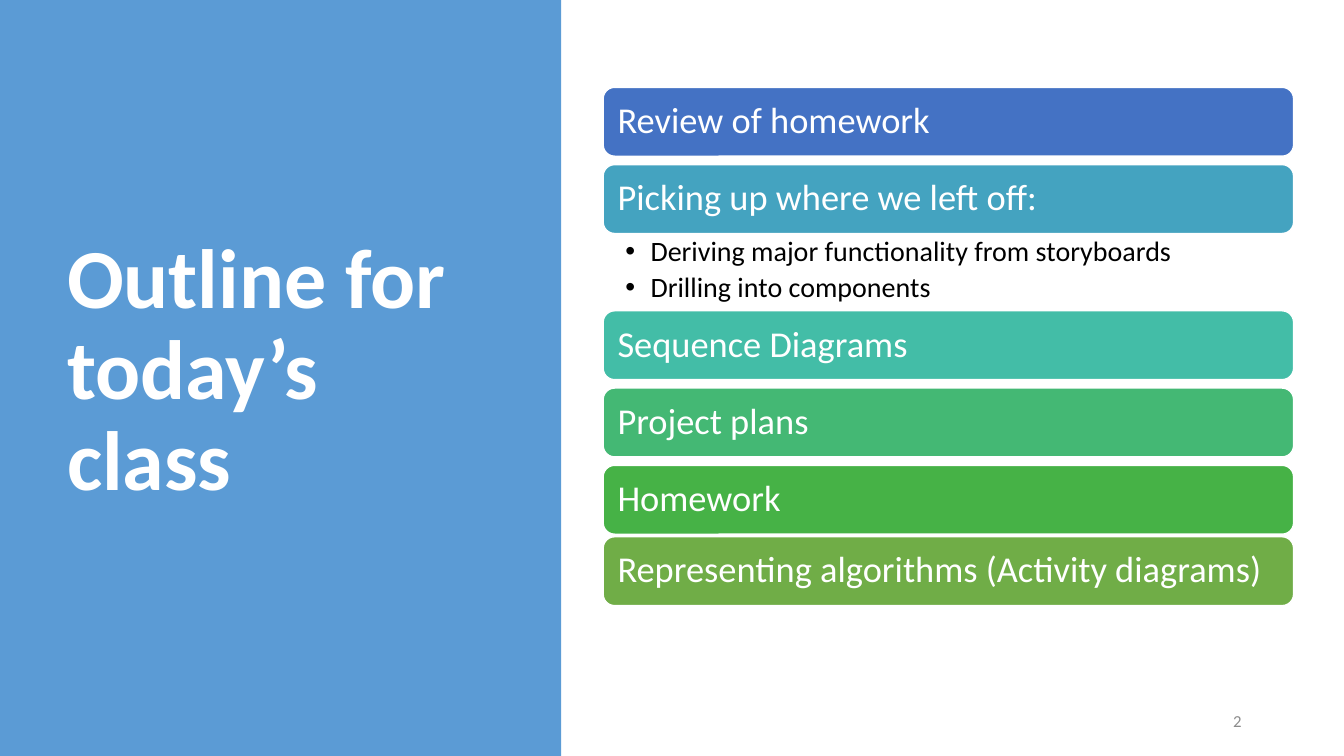
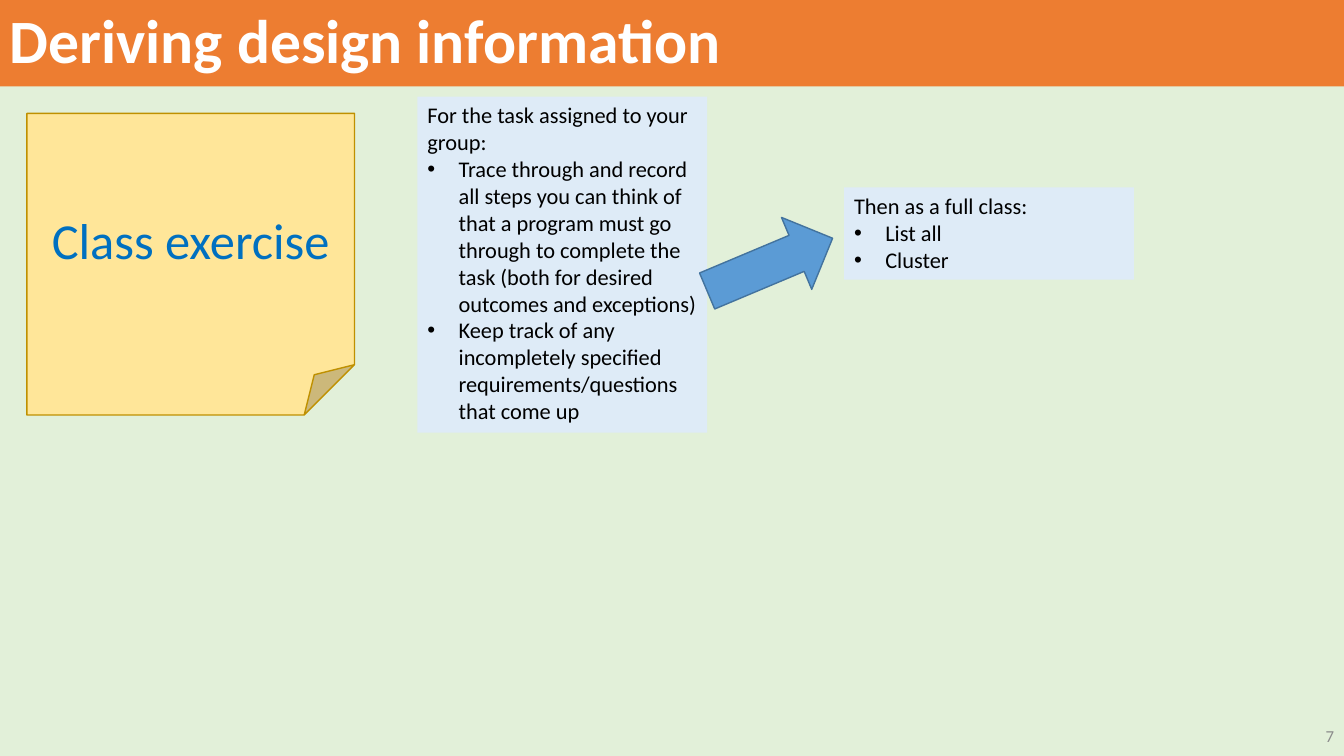
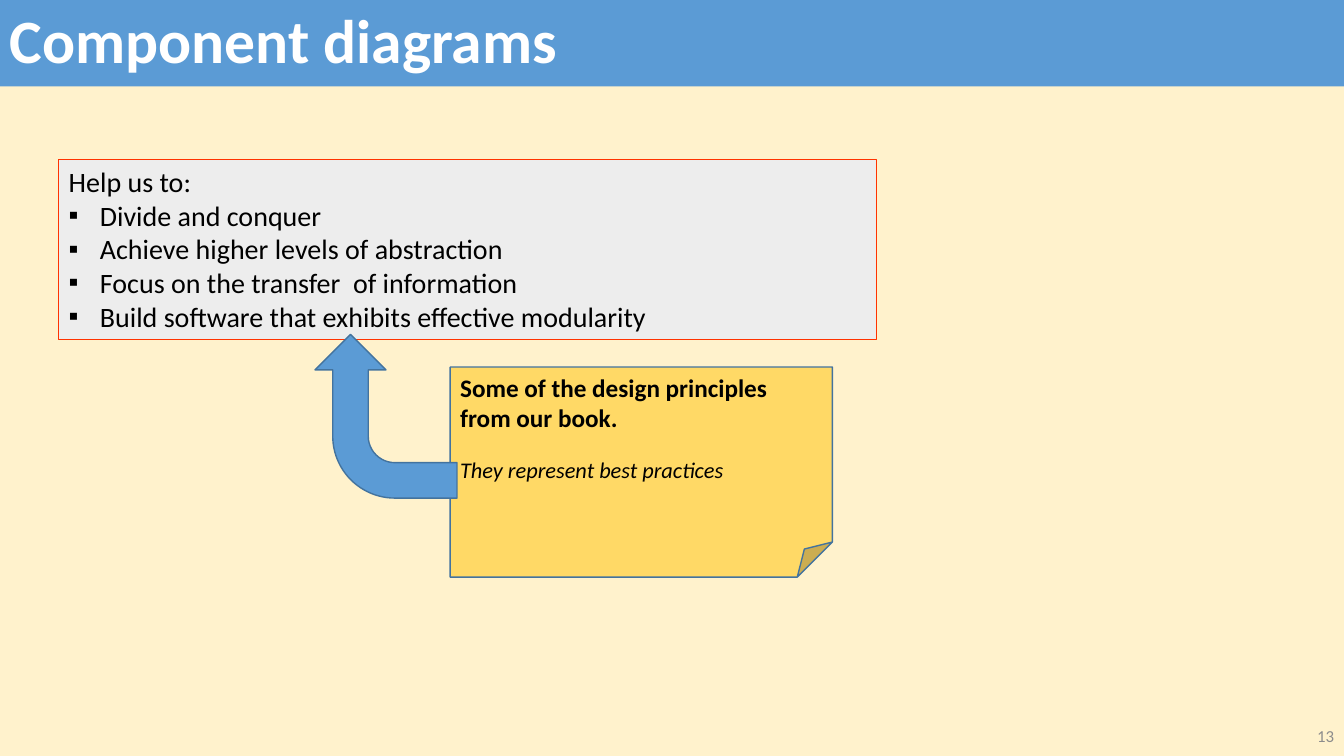
import pptx
import pptx.dml.color
import pptx.enum.shapes
import pptx.enum.text
import pptx.oxml.ns
import pptx.util
from lxml import etree

SHAPE = pptx.enum.shapes.MSO_SHAPE
ALIGN = pptx.enum.text.PP_ALIGN
ANCHOR = pptx.enum.text.MSO_ANCHOR

COLUMNS, ROWS = 160, 90
WIDTH, HEIGHT = pptx.util.Inches(13.33), pptx.util.Inches(7.5)
FONT = "Calibri"
WHITE, BLACK, GREY = "FFFFFF", "000000", "8C8C8C"
BLUE, DARK_BLUE, PALE_BLUE = "5B9BD5", "43739E", "DEEBF7"
ORANGE = "ED7D31"
INSETS = (0.1, 0.05, 0.1, 0.05)

TOPIC_LEFT, TOPIC_WIDTH, TOPIC_HEIGHT = 71.8, 82.2, 8.2
DETAILS_HEIGHT = 9.2
TOPICS = [
    ("Review of homework", "4472C4", 1, []),
    ("Picking up where we left off:", "44A3C0", 0,
     ["Deriving major functionality from storyboards",
      "Drilling into components"]),
    ("Sequence Diagrams", "43BDA7", 1, []),
    ("Project plans", "44B874", 1, []),
    ("Homework", "46B246", 0.3, []),
    ("Representing algorithms (Activity diagrams)", "70AD47", 0, []),
]


def rgb(value):
    return pptx.dml.color.RGBColor.from_string(value)


def place(left, top, width, height):
    return (round(left * WIDTH / COLUMNS), round(top * HEIGHT / ROWS),
            round(width * WIDTH / COLUMNS), round(height * HEIGHT / ROWS))


def add_page(deck, background):
    page = deck.slides.add_slide(deck.slide_layouts[6])
    page.background.fill.solid()
    page.background.fill.fore_color.rgb = rgb(background)
    return page


def add_box(page, kind, area, fill, line=None, line_width=1, rotation=0):
    box = page.shapes.add_shape(kind, *place(*area))
    box.shadow.inherit = False
    box.rotation = rotation
    box.fill.solid()
    box.fill.fore_color.rgb = rgb(fill)
    if line:
        box.line.color.rgb = rgb(line)
        box.line.width = pptx.util.Pt(line_width)
    else:
        box.line.fill.background()
    return box


def add_bullet(para, mark, indent):
    properties = para._p.get_or_add_pPr()
    properties.set("marL", str(pptx.util.Inches(indent)))
    properties.set("indent", str(-pptx.util.Inches(indent)))
    qualify = pptx.oxml.ns.qn
    etree.SubElement(properties, qualify("a:buFont")).set("typeface", "Arial")
    etree.SubElement(properties, qualify("a:buChar")).set("char", mark)


def style(para, size, color, bold=False, italic=False):
    for span in para.runs:
        span.font.name = FONT
        span.font.size = pptx.util.Pt(size)
        span.font.color.rgb = rgb(color)
        span.font.bold = bold
        span.font.italic = italic


def write(box, lines, size, color=BLACK, bold=False, align=ALIGN.LEFT,
          anchor=ANCHOR.TOP, insets=INSETS, spacing=1, after=0,
          mark=None, indent=0.31, lead_lines=1):
    frame = box.text_frame
    frame.word_wrap = True
    frame.vertical_anchor = anchor
    (frame.margin_left, frame.margin_top,
     frame.margin_right, frame.margin_bottom) = map(pptx.util.Inches, insets)
    frame.text = "\n".join(lines)
    for number, para in enumerate(frame.paragraphs):
        if mark and number >= lead_lines:
            add_bullet(para, mark, indent)
        para.alignment = align
        para.line_spacing = spacing
        para.space_after = pptx.util.Pt(after)
        style(para, size, color, bold)


def add_text(page, area, lines, size, **options):
    write(page.shapes.add_textbox(*place(*area)), lines, size, **options)


def add_title_band(page, title, fill):
    band = add_box(page, SHAPE.RECTANGLE, (0, 0, COLUMNS, 10.3), fill)
    write(band, [title], 44, WHITE, bold=True, anchor=ANCHOR.MIDDLE, spacing=0.9)


def add_number(page, number, left=124, top=85.2):
    add_text(page, (left, top, 36, 4.8), [str(number)], 12, color=GREY,
             align=ALIGN.RIGHT, anchor=ANCHOR.MIDDLE)


def add_task(page, area, lines):
    box = add_box(page, SHAPE.RECTANGLE, area, PALE_BLUE)
    write(box, lines, 16, mark="•")


def add_topics(page):
    top = 10.4
    for topic, fill, gap, details in TOPICS:
        box = add_box(page, SHAPE.ROUNDED_RECTANGLE,
                      (TOPIC_LEFT, top, TOPIC_WIDTH, TOPIC_HEIGHT), fill, WHITE)
        write(box, [topic], 26, WHITE, anchor=ANCHOR.MIDDLE,
              insets=(0.11,) * 4, spacing=0.9)
        top += TOPIC_HEIGHT + gap
        if details:
            add_text(page, (TOPIC_LEFT, top, TOPIC_WIDTH, DETAILS_HEIGHT),
                     details, 20, insets=(0.22, 0.04, 0.2, 0.04), spacing=0.9,
                     after=4, mark="•", indent=0.25, lead_lines=0)
            top += DETAILS_HEIGHT


def build_outline(deck):
    page = add_page(deck, WHITE)
    add_box(page, SHAPE.RECTANGLE, (0, 0, 66.8, ROWS), BLUE)
    add_text(page, (6.8, 8.2, 50, 72.2), ["Outline for today’s class"], 60,
             color=WHITE, bold=True, anchor=ANCHOR.MIDDLE, spacing=0.9)
    add_number(page, 2, 113, 83.4)
    add_topics(page)


def build_exercise(deck):
    page = add_page(deck, "E2F0D9")
    add_title_band(page, "Deriving design information", ORANGE)
    add_number(page, 7)
    add_task(page, (49.7, 11.5, 34.5, 40), [
        "For the task assigned to your group:",
        "Trace through and record all steps you can think of that a program "
        "must go through to complete the task (both for desired outcomes and "
        "exceptions)",
        "Keep track of any incompletely specified requirements/questions "
        "that come up",
    ])
    note = add_box(page, SHAPE.FOLDED_CORNER, (3.2, 13.5, 39, 35.9),
                   "FFE699", "BF9000")
    write(note, ["Class exercise"], 36, "0070C0",
          align=ALIGN.CENTER, anchor=ANCHOR.MIDDLE)
    add_task(page, (100.5, 22.3, 34.5, 11),
             ["Then as a full class:", "List all", "Cluster"])
    add_box(page, SHAPE.DOWN_ARROW, (87, 23.4, 9.3, 16.2), BLUE, DARK_BLUE,
            rotation=247.2)


def build_components(deck):
    page = add_page(deck, "FFF2CC")
    add_title_band(page, "Component diagrams", BLUE)
    benefits = add_box(page, SHAPE.RECTANGLE, (7, 19, 97.3, 21.4),
                       "EDEDED", "FF3300", 0.75)
    write(benefits, [
        "Help us to:",
        "Divide and conquer",
        "Achieve higher levels of abstraction",
        "Focus on the transfer  of information",
        "Build software that exhibits effective modularity",
    ], 20, mark="▪")
    add_number(page, 13)
    note = add_box(page, SHAPE.FOLDED_CORNER, (53.6, 43.7, 45.5, 25),
                   "FFD966", DARK_BLUE)
    write(note, ["Some of the design principles from our book.",
                 "They represent best practices"], 18, bold=True)
    remark = note.text_frame.paragraphs[1]
    remark.space_before = pptx.util.Pt(17)
    style(remark, 16, BLACK, italic=True)
    add_box(page, SHAPE.BENT_ARROW, (36.2, 41.1, 19.5, 16.9), BLUE, DARK_BLUE,
            rotation=270)


def main():
    deck = pptx.Presentation()
    deck.slide_width, deck.slide_height = WIDTH, HEIGHT
    build_outline(deck)
    build_exercise(deck)
    build_components(deck)
    deck.save("out.pptx")


if __name__ == "__main__":
    main()
